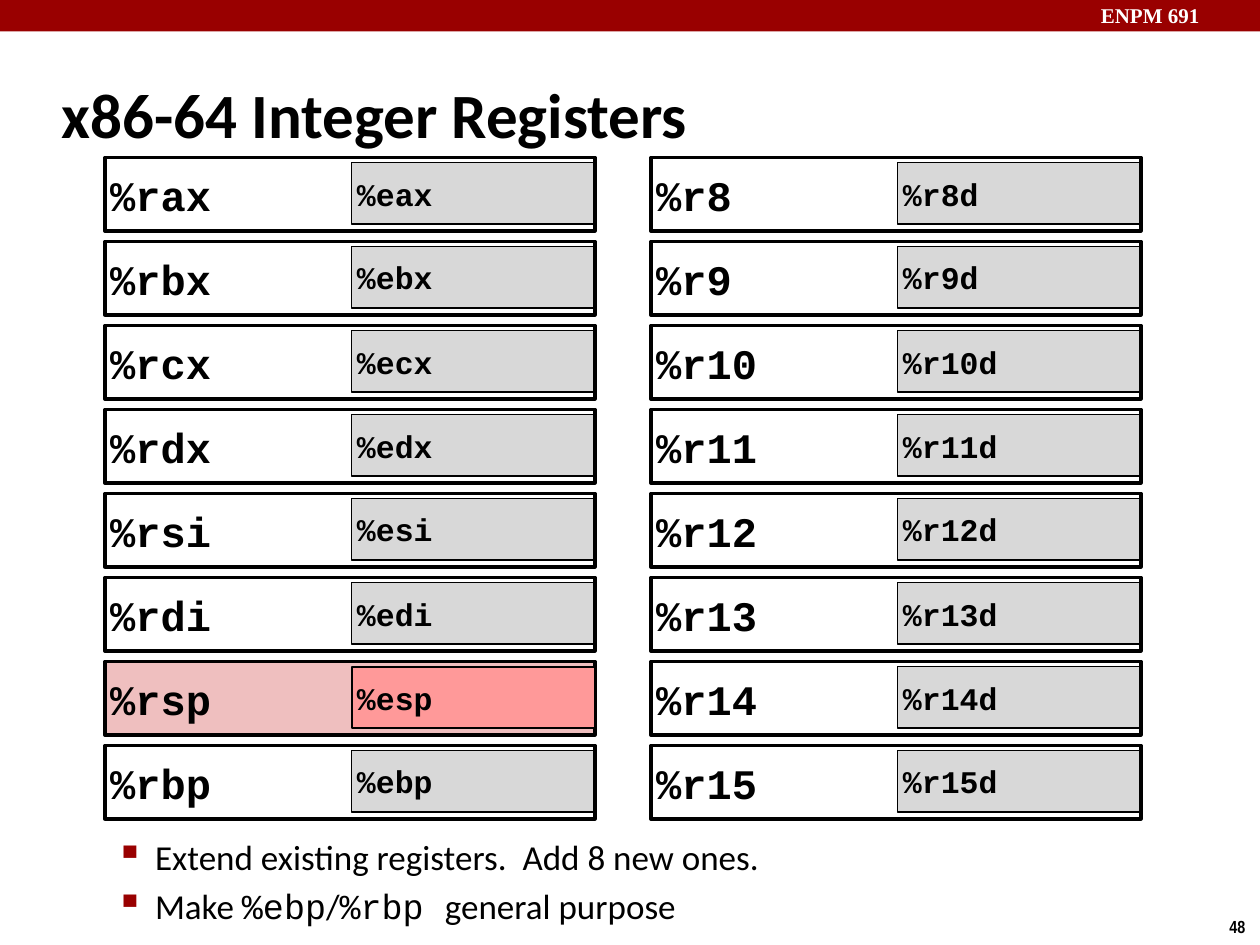
"""Build the slide on x86-64 integer registers."""
from lxml import etree
from pptx import Presentation
from pptx.dml.color import RGBColor
from pptx.enum.shapes import MSO_SHAPE
from pptx.enum.text import MSO_ANCHOR, PP_ALIGN
from pptx.oxml.ns import qn
from pptx.util import Pt

RECT = MSO_SHAPE.RECTANGLE
MIDDLE, TOP = MSO_ANCHOR.MIDDLE, MSO_ANCHOR.TOP
LEFT = PP_ALIGN.LEFT

RED = RGBColor(0x99, 0x00, 0x00)
BLACK = RGBColor(0x00, 0x00, 0x00)
WHITE = RGBColor(0xFF, 0xFF, 0xFF)
GRAY = RGBColor(0xD8, 0xD8, 0xD8)
PINK = RGBColor(0xEF, 0xBF, 0xBF)
ROSE = RGBColor(0xFF, 0x99, 0x99)

SANS, MONO = "Calibri", "Courier New"
STACK = "%rsp"
COLUMNS = [
    (60, [("%rax", "%eax"), ("%rbx", "%ebx"), ("%rcx", "%ecx"), ("%rdx", "%edx"),
          ("%rsi", "%esi"), ("%rdi", "%edi"), (STACK, "%esp"), ("%rbp", "%ebp")]),
    (372, [(f"%r{n}", f"%r{n}d") for n in range(8, 16)]),
]
LABELS = [
    ("ENPM 691", (622, -2, 103, 22), 12, "Times New Roman", WHITE, TOP, True),
    ("48", (695.5, 520, 24.5, 19), 10, "Arial Narrow", BLACK, TOP, False),
    ("x86-64 Integer Registers", (28, 34.5, 598, 60), 36, SANS, BLACK, MIDDLE, True),
]
NOTES = [
    [("Extend existing registers.  Add 8 new ones.", SANS)],
    [("Make ", SANS), ("%ebp", MONO), ("/", SANS), ("%rbp ", MONO),
     ("general purpose", SANS)],
]
FIRST, PITCH = 90, 48


def style(run, size, font, color=BLACK, bold=True):
    run.font.size = Pt(size)
    run.font.name = font
    run.font.bold = bold
    run.font.color.rgb = color


def add_box(slide, area, fill, line=None):
    box = slide.shapes.add_shape(RECT, *map(Pt, area))
    box.shadow.inherit = False
    if fill is None:
        box.fill.background()
    else:
        box.fill.solid()
        box.fill.fore_color.rgb = fill
    if line is None:
        box.line.fill.background()
    else:
        box.line.color.rgb = BLACK
        box.line.width = Pt(line)
    return box


def add_cell(slide, text, area, fill, line, size):
    frame = add_box(slide, area, fill, line).text_frame
    frame.margin_left = frame.margin_right = Pt(3)
    frame.margin_top = frame.margin_bottom = Pt(3)
    frame.vertical_anchor = MIDDLE
    frame.text = text
    para = frame.paragraphs[0]
    para.alignment = LEFT
    style(para.runs[0], size, MONO)


def add_pair(slide, left, top, wide, low):
    hot = wide == STACK
    whole = (wide, (left, top, 280, 42), PINK if hot else None, 2, 24)
    half = (low, (left + 141, top + 3, 139, 35), ROSE if hot else GRAY,
            1 if hot else 0.75, 18)
    for cell in (whole, half) if hot else (half, whole):
        add_cell(slide, *cell)


def add_label(slide, text, area, size, font, color, anchor, wrap):
    frame = slide.shapes.add_textbox(*map(Pt, area)).text_frame
    frame.word_wrap = wrap
    frame.vertical_anchor = anchor
    frame.text = text
    style(frame.paragraphs[0].runs[0], size, font, color)


def add_bullet(para):
    props = para._p.get_or_add_pPr()
    props.set("marL", str(Pt(58.5)))
    props.set("indent", str(-Pt(22.5)))
    color = etree.SubElement(props, qn("a:buClr"))
    etree.SubElement(color, qn("a:srgbClr"), val=str(RED))
    etree.SubElement(props, qn("a:buSzPct"), val="110000")
    etree.SubElement(props, qn("a:buChar"), char="▪")


def add_notes(slide):
    frame = slide.shapes.add_textbox(Pt(23), Pt(474), Pt(577), Pt(66)).text_frame
    frame.word_wrap = True
    for i, parts in enumerate(NOTES):
        para = frame.add_paragraph() if i else frame.paragraphs[0]
        para.space_before = Pt(4 * i)
        add_bullet(para)
        for text, font in parts:
            run = para.add_run()
            run.text = text
            style(run, 20, font, bold=False)


def main():
    deck = Presentation()
    deck.slide_width, deck.slide_height = Pt(720), Pt(540)
    slide = deck.slides.add_slide(deck.slide_layouts[6])
    add_box(slide, (0, 0, 720, 18), RED)
    for label in LABELS:
        add_label(slide, *label)
    add_notes(slide)
    for left, pairs in COLUMNS:
        for row, (wide, low) in enumerate(pairs):
            add_pair(slide, left, FIRST + row * PITCH, wide, low)
    deck.save("out.pptx")


if __name__ == "__main__":
    main()
